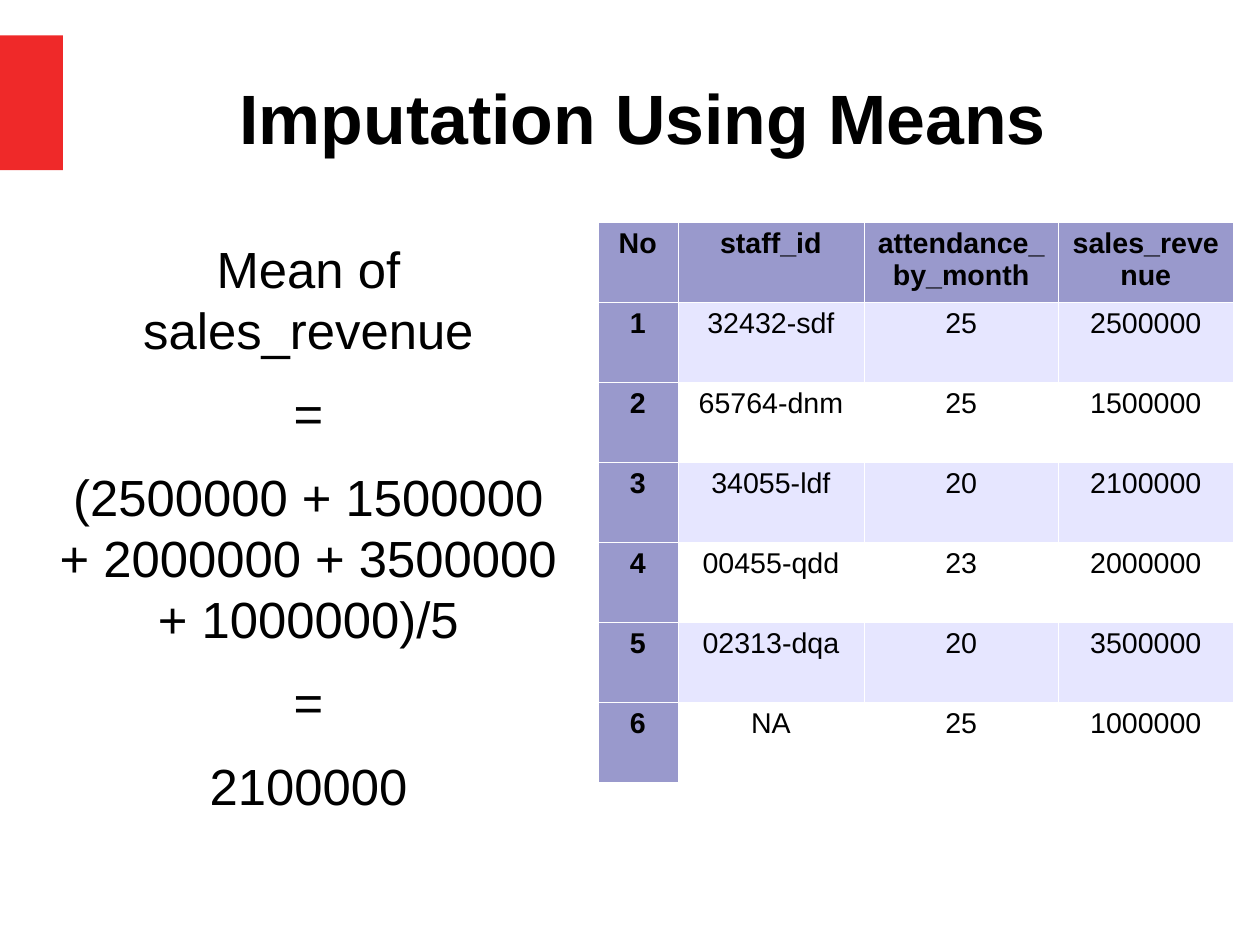
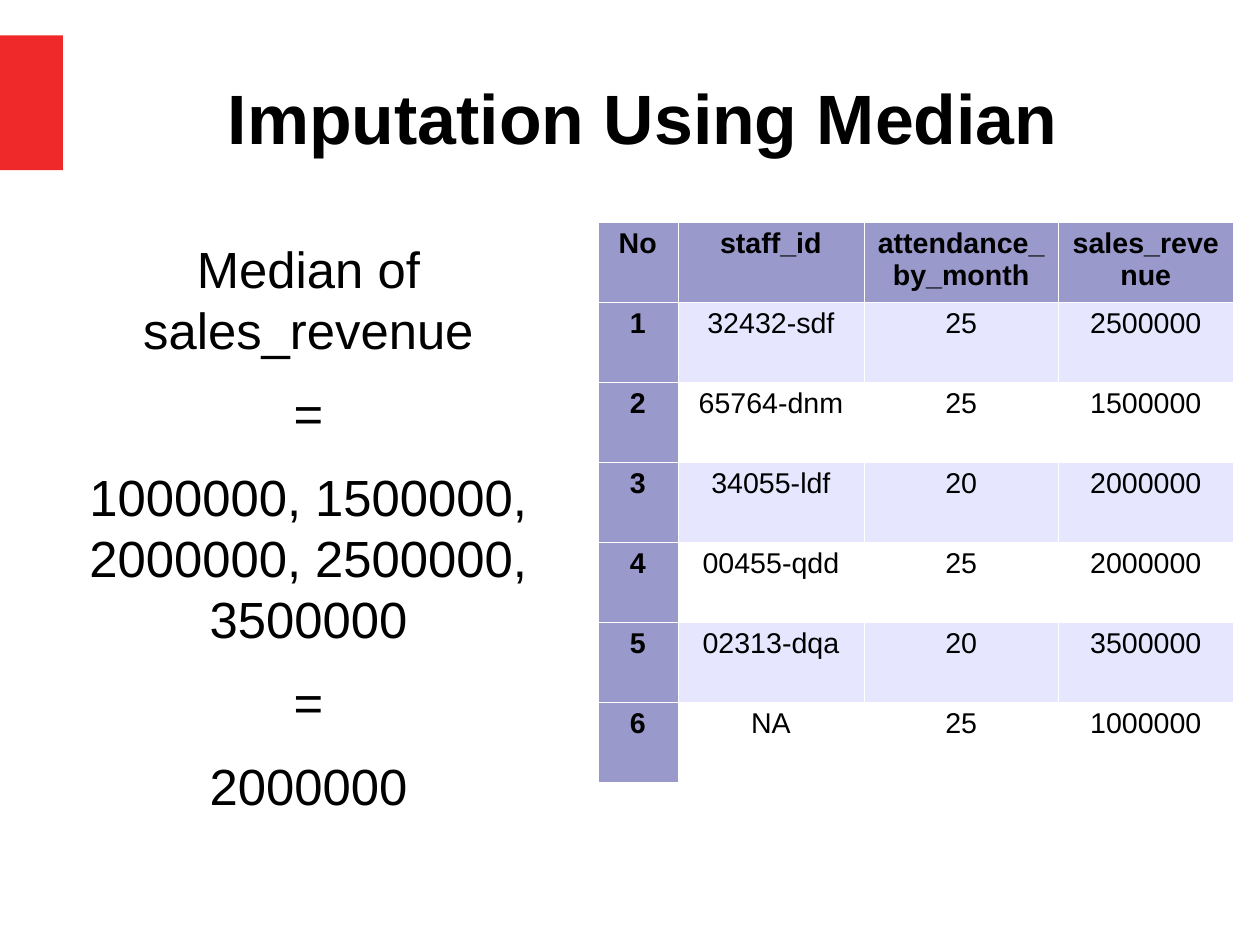
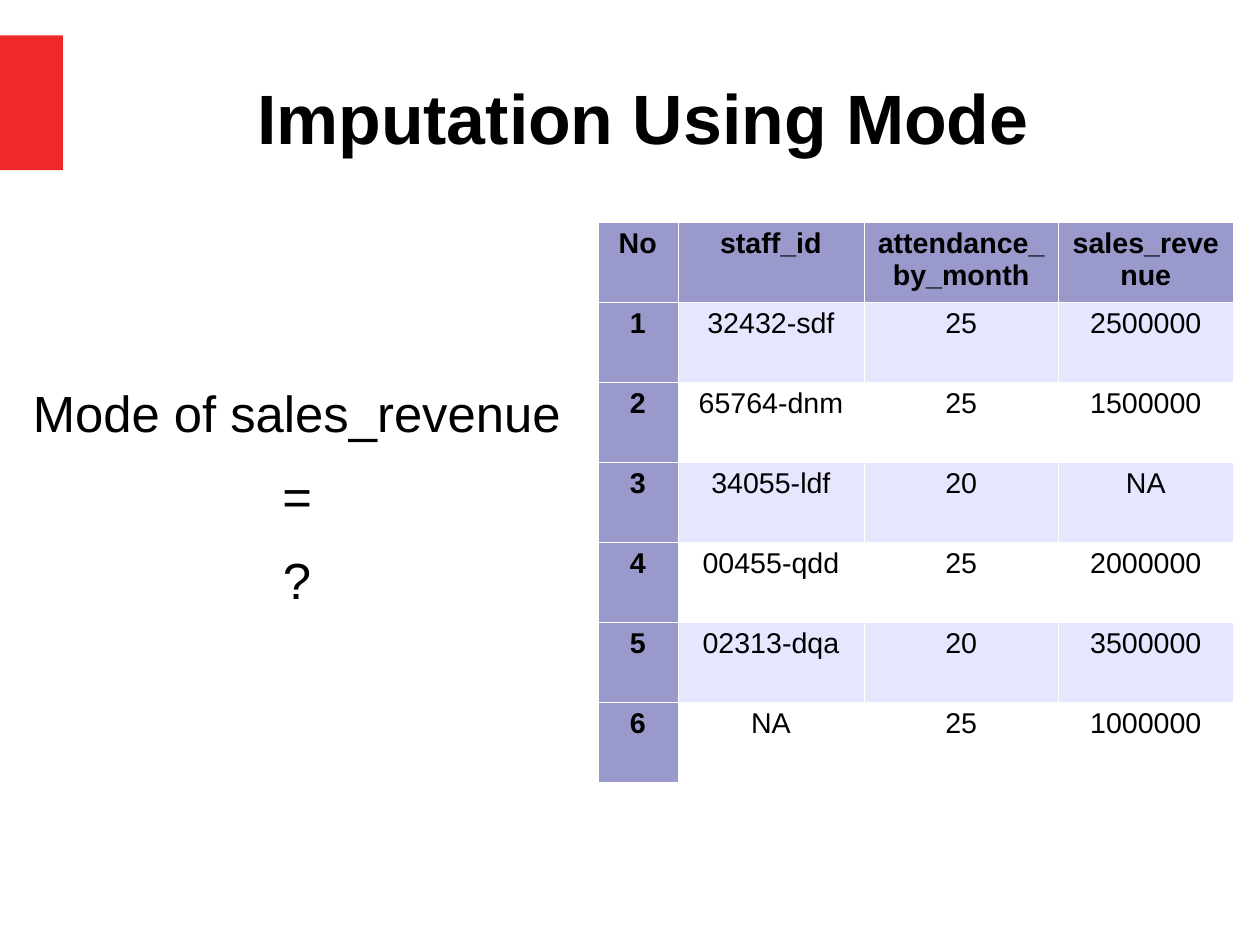
from dataclasses import dataclass

from lxml import etree
from pptx import Presentation
from pptx.dml.color import RGBColor
from pptx.enum import shapes, text
from pptx.oxml.ns import qn
from pptx.util import Emu, Inches, Pt


@dataclass(frozen=True)
class Theme:
    font: str = "Arial"
    ink: str = "000000"
    accent: str = "EF2929"
    header: str = "9999CC"
    band: str = "E6E6FF"
    plain: str = "FFFFFF"
    title_size: int = 44
    body_size: int = 32
    table_size: int = 18


THEME = Theme()
# Standard 28 by 21 cm screen format, 11.02 by 8.27 inches
PAGE_SIZE = (Emu(10080625), Emu(7559675))
TITLE_AREA = (0.79, 0.33, 9.68, 1.38)
ACCENT_AREA = (0, 0.31, 0.55, 1.18)
FORMULA_AREA = (0.5, 2.21, 4.4, 4.79)
MODE_AREA = (0.2, 1.94, 4.8, 4.79)
TABLE_CORNER = (5.23, 1.94)
COLUMN_WIDTHS = (0.7, 1.63, 1.7, 1.53)
ROW_HEIGHT = 0.7

# Table content: attendance and revenue vary from slide to slide
HEADINGS = ("No", "staff_id", "attendance_by_month", "sales_revenue")
STAFF = ("32432-sdf", "65764-dnm", "34055-ldf", "00455-qdd", "02313-dqa", "NA")


def staff_rows(third_revenue, fourth_attendance="25"):
    attendance = ("25", "25", "20", fourth_attendance, "20", "25")
    revenue = ("2500000", "1500000", third_revenue, "2000000", "3500000", "1000000")
    numbers = map(str, range(1, len(STAFF) + 1))
    return [HEADINGS, *zip(numbers, STAFF, attendance, revenue)]


SLIDES = (
    ("Imputation Using Means", FORMULA_AREA,
     ("Mean of sales_revenue", "=",
      "(2500000 + 1500000 + 2000000 + 3500000 + 1000000)/5", "=", "2100000"),
     staff_rows("2100000", fourth_attendance="23")),
    ("Imputation Using Median", FORMULA_AREA,
     ("Median of sales_revenue", "=",
      "1000000, 1500000, 2000000, 2500000, 3500000", "=", "2000000"),
     staff_rows("2000000")),
    ("Imputation Using Mode", MODE_AREA,
     ("Mode of sales_revenue", "=", "?"),
     staff_rows("NA")),
)


def inches(lengths):
    return [Inches(length) for length in lengths]


def style_paragraph(para, size, bold=False):
    para.alignment = text.PP_ALIGN.CENTER
    for span in para.runs:
        span.font.name = THEME.font
        span.font.size = Pt(size)
        span.font.bold = bold
        span.font.color.rgb = RGBColor.from_string(THEME.ink)


def prepare_frame(frame):
    frame.word_wrap = True
    frame.auto_size = text.MSO_AUTO_SIZE.NONE
    frame.vertical_anchor = text.MSO_ANCHOR.MIDDLE
    frame.margin_left = frame.margin_right = 0
    frame.margin_top = frame.margin_bottom = 0


def add_accent(page):
    block = page.shapes.add_shape(shapes.MSO_SHAPE.RECTANGLE, *inches(ACCENT_AREA))
    block.shadow.inherit = False
    block.fill.solid()
    block.fill.fore_color.rgb = RGBColor.from_string(THEME.accent)
    block.line.fill.background()


def set_title(page, title):
    box = page.shapes.title
    box.left, box.top, box.width, box.height = inches(TITLE_AREA)
    prepare_frame(box.text_frame)
    box.text_frame.text = title
    style_paragraph(box.text_frame.paragraphs[0], THEME.title_size, bold=True)


def add_formula(page, area, lines):
    frame = page.shapes.add_textbox(*inches(area)).text_frame
    prepare_frame(frame)
    frame.text = "\n".join(lines)
    for index, para in enumerate(frame.paragraphs):
        if index:
            para.space_before = Pt(14.2)
        style_paragraph(para, THEME.body_size)


def set_borders(cell):
    """Put a hairline on all four sides, ahead of the cell's fill."""
    properties = cell._tc.get_or_add_tcPr()
    for position, side in enumerate(("a:lnL", "a:lnR", "a:lnT", "a:lnB")):
        line = etree.Element(qn(side), w=str(Pt(0.06)))
        fill = etree.SubElement(line, qn("a:solidFill"))
        etree.SubElement(fill, qn("a:srgbClr"), val=THEME.plain)
        properties.insert(position, line)


def add_staff_table(page, rows):
    size = (sum(COLUMN_WIDTHS), ROW_HEIGHT * len(rows))
    table = page.shapes.add_table(len(rows), len(HEADINGS),
                                  *inches(TABLE_CORNER + size)).table
    for column, width in zip(table.columns, COLUMN_WIDTHS):
        column.width = Inches(width)
    for row_index, row in enumerate(rows):
        table.rows[row_index].height = Inches(ROW_HEIGHT)
        for column_index, value in enumerate(row):
            cell = table.cell(row_index, column_index)
            is_header = row_index == 0 or column_index == 0
            row_color = THEME.band if row_index % 2 else THEME.plain
            cell.fill.solid()
            cell.fill.fore_color.rgb = RGBColor.from_string(
                THEME.header if is_header else row_color)
            set_borders(cell)
            cell.text_frame.text = value
            style_paragraph(cell.text_frame.paragraphs[0], THEME.table_size, is_header)


def main():
    deck = Presentation()
    deck.slide_width, deck.slide_height = PAGE_SIZE
    title_only = deck.slide_layouts[5]
    for title, area, lines, rows in SLIDES:
        page = deck.slides.add_slide(title_only)
        add_accent(page)
        set_title(page, title)
        add_formula(page, area, lines)
        add_staff_table(page, rows)
    deck.save("out.pptx")


if __name__ == "__main__":
    main()
